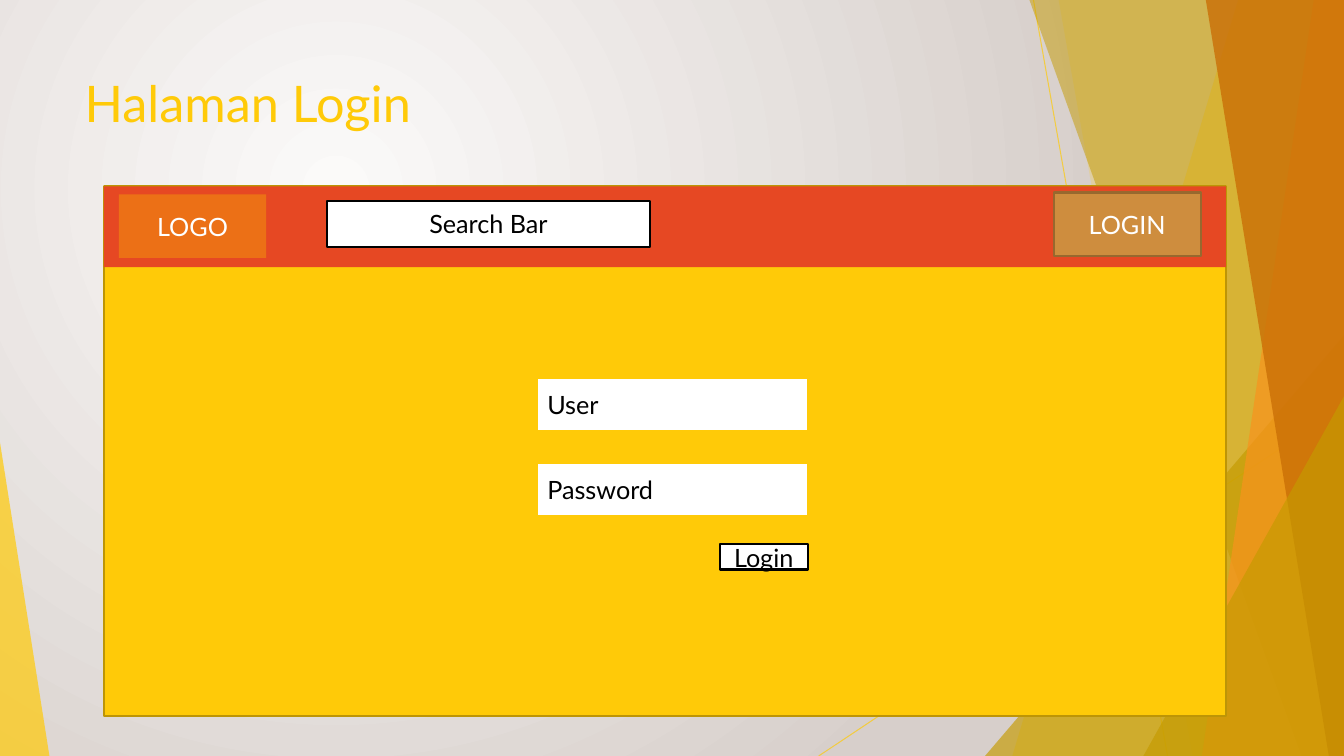
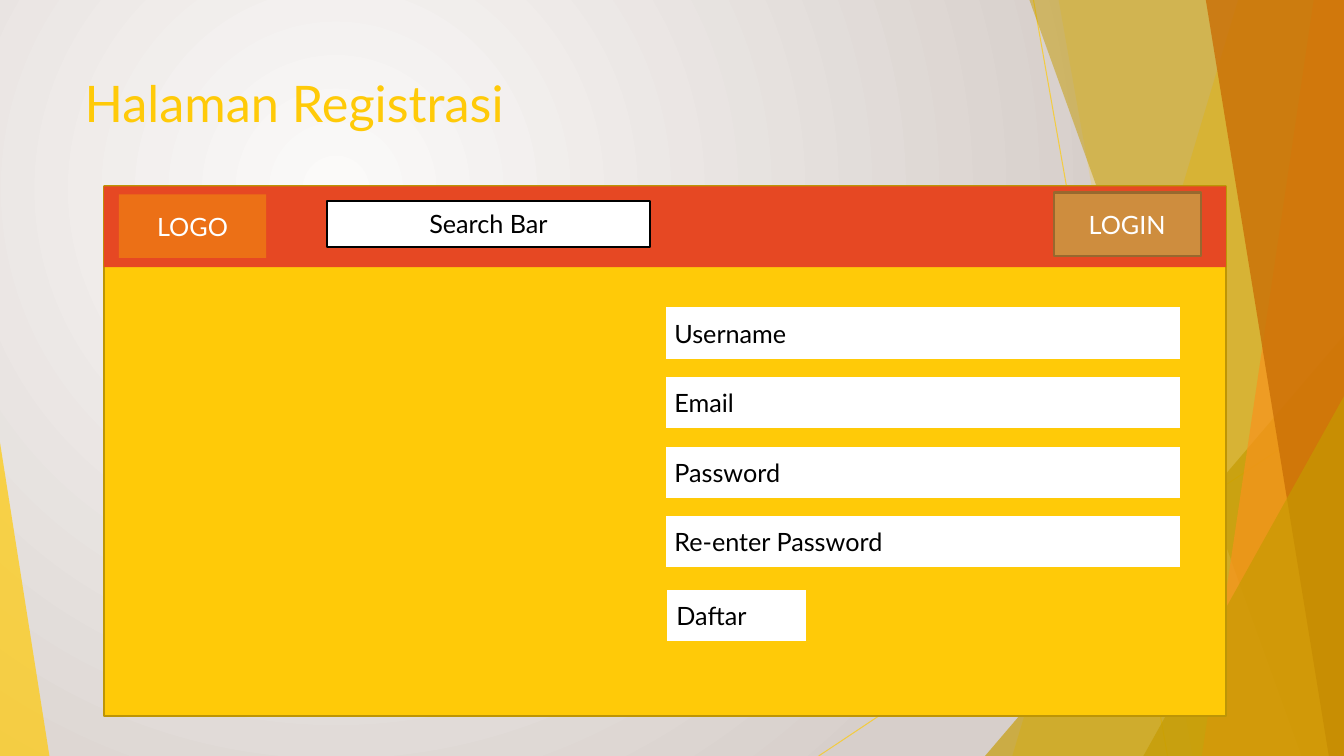
"""Two wireframe slides: a login page and a registration page."""
from lxml import etree
from pptx import Presentation
from pptx.dml.color import RGBColor
from pptx.enum.shapes import MSO_CONNECTOR, MSO_SHAPE
from pptx.enum.text import MSO_ANCHOR, PP_ALIGN
from pptx.oxml.ns import qn
from pptx.util import Inches, Pt

RECT, TRIANGLE = MSO_SHAPE.RECTANGLE, MSO_SHAPE.ISOSCELES_TRIANGLE
STRAIGHT = MSO_CONNECTOR.STRAIGHT
LEFT, CENTER = PP_ALIGN.LEFT, PP_ALIGN.CENTER
TOP, MIDDLE = MSO_ANCHOR.TOP, MSO_ANCHOR.MIDDLE

FONT = "Lato"
WIDTH, HEIGHT = 13.33, 7.5
YELLOW, OLIVE, AMBER, RUST = "FFCA08", "C59B00", "F8931D", "CA6F06"
RED, ORANGE, TAN = "E64823", "EC7016", "CE8D3E"
PANEL_EDGE, TAN_EDGE = "BD9506", "98682E"
WHITE, BLACK = "FFFFFF", "000000"
GLOW = ("FBFAF9", "D7CFCB")

TITLE_BOX = (0.74, 0.67, 9.4, 1.44)
PANEL_BOX = (1.03, 1.85, 11.13, 5.25)
HEADER_H = 0.8
FIELD_H = 0.53


def paint(color_format, color, alpha=100):
    """Set a hex colour, with an opacity in percent."""
    color_format.rgb = RGBColor.from_string(color)
    if alpha < 100:
        for node in color_format._xFill.iter(qn("a:srgbClr")):
            etree.SubElement(node, qn("a:alpha")).set("val", str(alpha * 1000))


def fill_shape(sp, color, alpha=100, edge=None):
    """Give a shape a flat fill and an optional outline, with no shadow."""
    sp.shadow.inherit = False
    sp.fill.solid()
    paint(sp.fill.fore_color, color)
    if alpha < 100:
        node = sp.element.spPr.find(qn("a:solidFill")).find(qn("a:srgbClr"))
        etree.SubElement(node, qn("a:alpha")).set("val", str(alpha * 1000))
    if edge:
        paint(sp.line.color, edge)
        sp.line.width = Pt(1.5)
    else:
        sp.line.fill.background()


def write(tf, text, size, color, align, anchor):
    """Put one run of text in a text frame."""
    tf.word_wrap = True
    tf.vertical_anchor = anchor
    p = tf.paragraphs[0]
    p.alignment = align
    r = p.add_run()
    r.text = text
    r.font.name = FONT
    r.font.size = Pt(size)
    paint(r.font.color, color)


def add_box(s, box, color, edge=None, text=None, ink=BLACK, align=CENTER):
    """Add a rectangle, with a label if one is given."""
    sp = s.shapes.add_shape(RECT, *map(Inches, box))
    fill_shape(sp, color, edge=edge)
    if text:
        write(sp.text_frame, text, 18, ink, align, MIDDLE)


def add_ray(s, start, end):
    """Add a thin translucent line of the backdrop."""
    line = s.shapes.add_connector(STRAIGHT, *map(Inches, start + end))
    paint(line.line.color, YELLOW)
    line.line.width = Pt(0.75)
    sp_pr = line.element.spPr
    for node in sp_pr.iter(qn("a:srgbClr")):
        etree.SubElement(node, qn("a:alpha")).set("val", "70000")
    etree.SubElement(sp_pr, qn("a:effectLst"))


def add_wedge(s, top_x, bottom_x, color, alpha):
    """Add a full-height band from a slanted edge to the right side."""
    right, bottom = Inches(WIDTH), Inches(HEIGHT)
    outline = s.shapes.build_freeform(Inches(top_x), 0)
    outline.add_line_segments(
        [(right, 0), (right, bottom), (Inches(bottom_x), bottom)])
    fill_shape(outline.convert_to_shape(), color, alpha)


def add_corner(s, left, top, width, tip, color, alpha):
    """Add a triangle standing on the bottom edge, its tip at 0 or 1."""
    sp = s.shapes.add_shape(
        TRIANGLE, *map(Inches, (left, top, width, HEIGHT - top)))
    sp.adjustments[0] = tip
    fill_shape(sp, color, alpha)


def add_backdrop(s):
    """Draw the facets along the sides of the slide."""
    add_ray(s, (10.25, 0), (11.58, HEIGHT))
    add_ray(s, (WIDTH, 4.03), (8.12, HEIGHT))
    add_wedge(s, 12.28, 10.04, YELLOW, 36)
    add_wedge(s, 10.5, 11.83, YELLOW, 20)
    add_corner(s, 9.77, 3.33, 3.56, 1, OLIVE, 66)
    add_wedge(s, 10.21, 12.91, OLIVE, 50)
    add_wedge(s, 13.03, 11.92, AMBER, 70)
    add_wedge(s, 11.96, 13.18, RUST, 80)
    add_corner(s, 11.34, 3.93, 1.99, 1, OLIVE, 66)
    add_corner(s, 0, 4.39, 0.49, 0, YELLOW, 70)


def set_glow(layout):
    """Fill the layout background with a round gradient."""
    fill = layout.background.fill
    fill.gradient()
    for stop, color in zip(fill.gradient_stops, GLOW):
        paint(stop.color, color)
    grad = next(layout.element.iter(qn("a:gradFill")))
    grad.remove(grad.find(qn("a:lin")))
    round_path = etree.SubElement(grad, qn("a:path"))
    round_path.set("path", "circle")
    center = etree.SubElement(round_path, qn("a:fillToRect"))
    for side, share in zip("ltrb", (50, 50, 100, 100)):
        center.set(side, str(share * 1000))


def place(sp, box):
    """Move and size a shape."""
    sp.left, sp.top, sp.width, sp.height = map(Inches, box)


def build_layout(prs):
    """Turn Title Only into the shared layout and return it."""
    layout = prs.slide_layouts[5]
    for sp in list(layout.placeholders)[1:]:
        sp.element.getparent().remove(sp.element)
    place(layout.placeholders[0], TITLE_BOX)
    set_glow(layout)
    return layout


def move_to_layout(s):
    """Hand the shapes drawn on a slide to its layout, behind the title."""
    tree = s.slide_layout.shapes.element
    drawn = [sp for sp in s.shapes if not sp.is_placeholder]
    for i, sp in enumerate(drawn):
        tree.insert(2 + i, sp.element)


def add_title(s, text):
    """Fill the title placeholder."""
    place(s.shapes.title, TITLE_BOX)
    write(s.shapes.title.text_frame, text, 36, YELLOW, LEFT, TOP)


def add_panel(s, box):
    """Draw the page mock-up with its header bar."""
    x, y, w, _ = box
    add_box(s, box, YELLOW, PANEL_EDGE)
    add_box(s, (x, y, w, HEADER_H), RED)
    add_box(s, (x + 0.15, y + 0.08, 1.46, 0.63), ORANGE, None, "LOGO", WHITE)
    add_box(s, (x + 2.21, y + 0.14, 3.21, 0.46), WHITE, BLACK, "Search Bar")
    add_box(s, (x + 9.42, y + 0.06, 1.46, 0.63), TAN, TAN_EDGE, "LOGIN", WHITE)


def add_fields(s, x, y, w, pitch, labels):
    """Stack input fields at an equal pitch."""
    for i, label in enumerate(labels):
        add_box(s, (x, y + i * pitch, w, FIELD_H), WHITE, YELLOW, label,
                align=LEFT)


def login_page(s, box):
    """Draw the login form in its panel."""
    x, y = box[:2]
    add_title(s, "Halaman Login")
    add_panel(s, box)
    add_fields(s, x + 4.3, y + 1.9, 2.68, 0.84, ("User", "Password"))
    add_box(s, (x + 6.11, y + 3.55, 0.87, 0.25), WHITE, BLACK, "Login")


def registration_page(s, box):
    """Draw the registration form in its panel."""
    x, y = box[:2]
    add_title(s, "Halaman Registrasi")
    add_panel(s, box)
    add_fields(s, x + 5.56, y + 1.19, 5.12, 0.69,
               ("Username", "Email", "Password", "Re-enter Password"))
    add_fields(s, x + 5.58, y + 3.99, 1.39, 0, ("Daftar",))


def main():
    """Build and save the presentation."""
    prs = Presentation()
    prs.slide_width, prs.slide_height = Inches(WIDTH), Inches(HEIGHT)
    layout = build_layout(prs)
    login, registration = (prs.slides.add_slide(layout) for _ in range(2))
    add_backdrop(login)
    move_to_layout(login)
    login_page(login, PANEL_BOX)
    registration_page(registration, PANEL_BOX)
    prs.save("out.pptx")


main()
